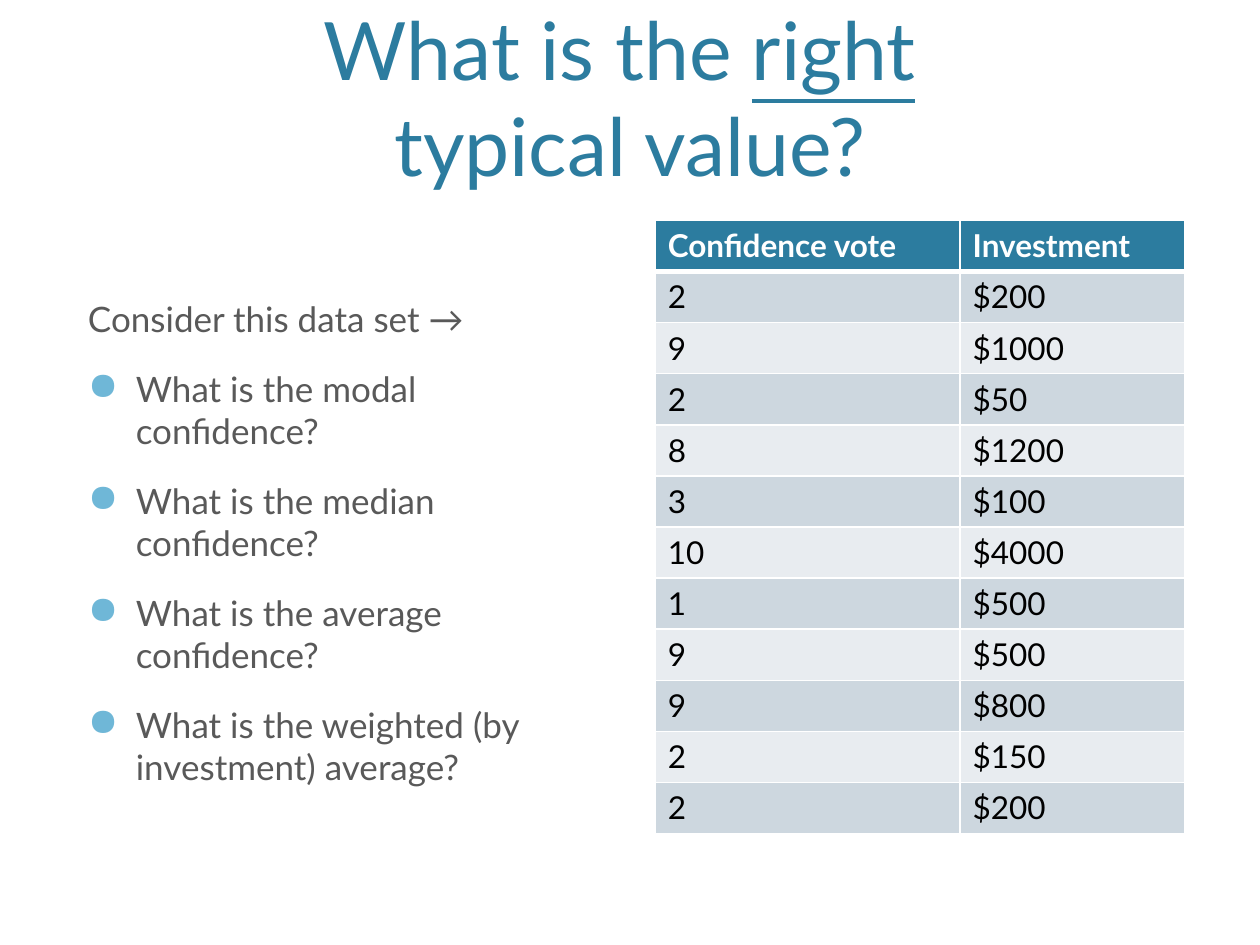
from dataclasses import dataclass

from lxml.etree import SubElement
from pptx import Presentation
from pptx.dml.color import RGBColor
from pptx.enum.text import MSO_ANCHOR, MSO_AUTO_SIZE, PP_ALIGN
from pptx.oxml import parse_xml
from pptx.oxml.ns import nsdecls, qn
from pptx.util import Inches, Pt


@dataclass(frozen=True)
class Theme:
    font: str = "Lato"
    accent: str = "2C7C9F"
    bullet: str = "6FB7D7"
    body: str = "595959"
    cell: str = "000000"
    white: str = "FFFFFF"
    bands: tuple = ("CDD7DF", "E8ECF0")
    title_size: int = 46
    body_size: int = 20
    table_size: int = 18
    gap: int = 16
    indent: float = 0.38


class Deck:
    """Holds the theme and the current slide."""

    def __init__(self, theme, width=10, height=7.5):
        self.theme = theme
        self.prs = Presentation()
        self.prs.slide_width, self.prs.slide_height = Inches(width), Inches(height)
        self.slide = self.prs.slides.add_slide(self.prs.slide_layouts[5])

    def box(self, x, y, w, h):
        """Turn shares of the slide's size into lengths."""
        W, H = self.prs.slide_width, self.prs.slide_height
        return int(x * W), int(y * H), int(w * W), int(h * H)

    def run(self, p, text, size, color, bold=False, underline=False):
        r = p.add_run()
        r.text = text
        f = r.font
        f.name, f.size, f.bold, f.underline = self.theme.font, Pt(size), bold, underline
        f.color.rgb = RGBColor.from_string(color)

    def title(self, lines, *box):
        """Each line is a list of (text, underline) runs."""
        sp = self.slide.shapes.title
        sp.left, sp.top, sp.width, sp.height = self.box(*box)
        tf = sp.text_frame
        tf.auto_size = MSO_AUTO_SIZE.NONE
        tf.vertical_anchor = MSO_ANCHOR.BOTTOM
        p = tf.paragraphs[0]
        p.alignment = PP_ALIGN.CENTER
        for i, line in enumerate(lines):
            if i:
                p.add_line_break()
            for text, underline in line:
                self.run(p, text, self.theme.title_size, self.theme.accent,
                         underline=underline)

    def bullet(self, p):
        t = self.theme
        pPr = p._p.get_or_add_pPr()
        pPr.set("marL", str(Inches(t.indent)))
        pPr.set("indent", str(-Inches(t.indent)))
        color = SubElement(pPr, qn("a:buClr"))
        SubElement(color, qn("a:srgbClr"), val=t.bullet)
        SubElement(pPr, qn("a:buSzPct"), val="110000")
        SubElement(pPr, qn("a:buChar"), char="●")

    def questions(self, lead, items, *box, top=0.61):
        t = self.theme
        tf = self.slide.shapes.add_textbox(*self.box(*box)).text_frame
        tf.word_wrap = True
        tf.margin_top = Inches(top)
        for i, text in enumerate([lead, *items]):
            p = tf.add_paragraph() if i else tf.paragraphs[0]
            if i:
                p.space_before = Pt(t.gap)
                self.bullet(p)
            self.run(p, text, t.body_size, t.body)

    def borders(self, cell, bottom):
        tcPr = cell._tc.get_or_add_tcPr()
        widths = {"lnL": 1, "lnR": 1, "lnT": 1, "lnB": bottom}
        for i, (side, width) in enumerate(widths.items()):
            tcPr.insert(i, parse_xml(
                f'<a:{side} {nsdecls("a")} w="{Pt(width)}"><a:solidFill>'
                f'<a:srgbClr val="{self.theme.white}"/></a:solidFill></a:{side}>'))

    def table(self, rows, col_widths, *box):
        t = self.theme
        x, y, w, h = self.box(*box)
        table = self.slide.shapes.add_table(
            len(rows), len(col_widths), x, y, w, h).table
        for col, width in zip(table.columns, col_widths):
            col.width = Inches(width)
        for i, values in enumerate(rows):
            head = i == 0
            fill = t.accent if head else t.bands[(i - 1) % 2]
            for j, value in enumerate(values):
                cell = table.cell(i, j)
                cell.fill.solid()
                cell.fill.fore_color.rgb = RGBColor.from_string(fill)
                # The rule under the header is heavier on both sides of the edge
                self.borders(cell, 3 if head else 1)
                if i == 1:
                    cell._tc.tcPr.find(qn("a:lnT")).set("w", str(Pt(3)))
                self.run(cell.text_frame.paragraphs[0], str(value), t.table_size,
                         t.white if head else t.cell, bold=head)


deck = Deck(Theme())

# Title
deck.title([[("What is the ", False), ("right", True), (" ", False)],
            [("typical value?", False)]], 0.06, 0.016, 0.88, 0.195)

# Questions on the left
measures = ["modal confidence", "median confidence", "average confidence",
            "weighted (by investment) average"]
deck.questions("Consider this data set →", [f"What is the {m}?" for m in measures],
               0.06, 0.2333, 0.42, 0.6333)

# Data set on the right
votes = [(2, 200), (9, 1000), (2, 50), (8, 1200), (3, 100), (10, 4000),
         (1, 500), (9, 500), (9, 800), (2, 150), (2, 200)]
deck.table([("Confidence vote", "Investment"), *((v, f"${m}") for v, m in votes)],
           (2.42, 1.78), 0.52, 0.2333, 0.42, 0.6493)

deck.prs.save("out.pptx")
